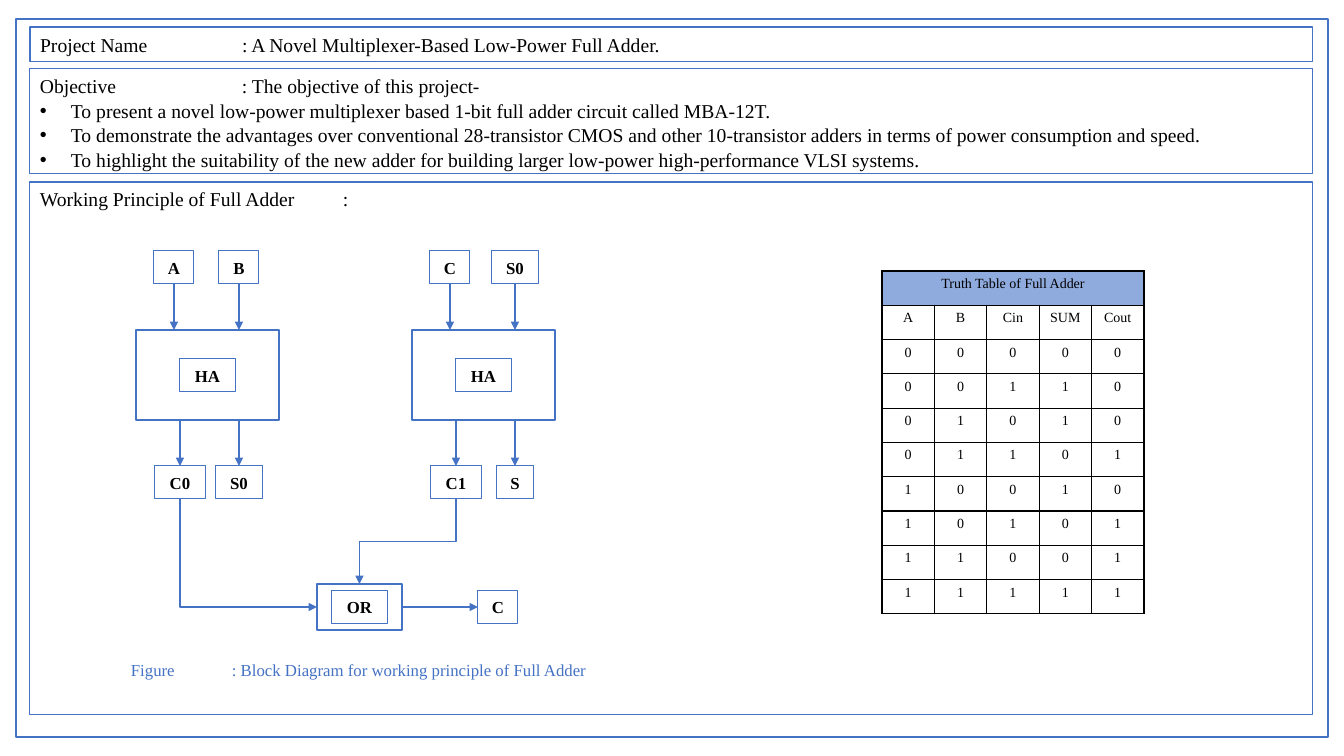
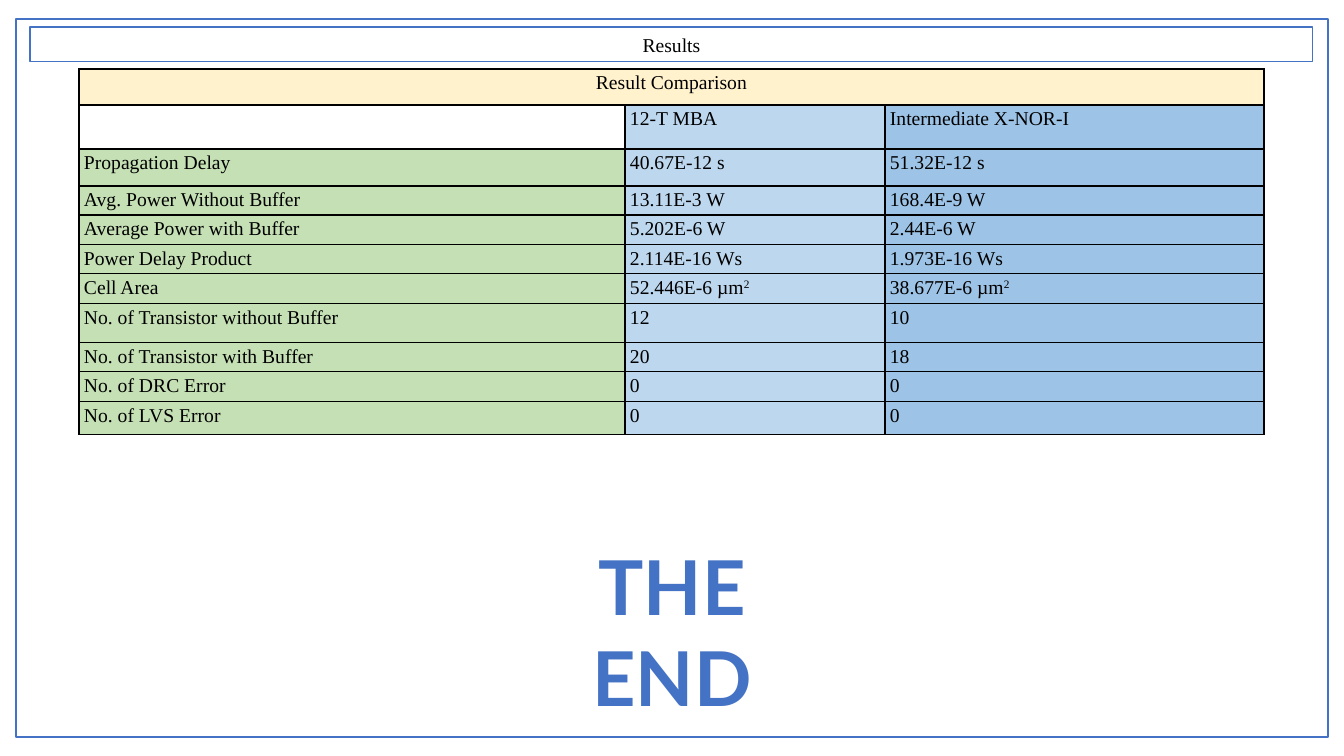
from itertools import product

from lxml.etree import SubElement
from pptx import Presentation
from pptx.dml.color import RGBColor
from pptx.enum.shapes import MSO_CONNECTOR, MSO_SHAPE
from pptx.enum.text import MSO_ANCHOR, MSO_AUTO_SIZE, PP_ALIGN
from pptx.oxml.ns import qn
from pptx.util import Emu, Pt

COLORS = {
    "line": "4472C4", "text": "000000", "truth_head": "8FAADC",
    "results_head": "FFF2CC", "measure": "C5E0B4",
    "first_design": "BDD7EE", "second_design": "9DC3E6",
}
SERIF = "Times New Roman"
EMU_PER_PX = 914400 / 100.8
INCH_PX = 101
BULLET_INDENT = 31
BAND_LEFT, BAND_WIDTH = 30, 1283
NODE_HEIGHT = 33
TOP, LEFT, BOTTOM, RIGHT = range(4)

RESULTS = [
    ("", "12-T MBA", "Intermediate X-NOR-I"),
    ("Propagation Delay", "40.67E-12 s", "51.32E-12 s"),
    ("Avg. Power Without Buffer", "13.11E-3 W", "168.4E-9 W"),
    ("Average Power with Buffer", "5.202E-6 W", "2.44E-6 W"),
    ("Power Delay Product", "2.114E-16 Ws", "1.973E-16 Ws"),
    ("Cell Area", "52.446E-6 µm^2", "38.677E-6 µm^2"),
    ("No. of Transistor without Buffer", "12", "10"),
    ("No. of Transistor with Buffer", "20", "18"),
    ("No. of DRC Error", "0", "0"),
    ("No. of LVS Error", "0", "0"),
]


def px(length):
    """Turn pixels into EMU."""
    return Emu(round(length * EMU_PER_PX))


def color(name):
    """Look up a named colour."""
    return RGBColor.from_string(COLORS[name])


def write(para, text, size, align=PP_ALIGN.LEFT, bold=False, ink="text", font=SERIF):
    """Fill a paragraph; a caret starts a superscript run."""
    para.alignment = align
    for number, part in enumerate(text.split("^")):
        span = para.add_run()
        span.text = part
        span.font.size, span.font.bold, span.font.name = Pt(size), bold, font
        span.font.color.rgb = color(ink)
        if number:
            span.font._element.set("baseline", "30000")


def add_tabs(para):
    """Give a paragraph a tab stop at each inch."""
    stops = SubElement(para._p.get_or_add_pPr(), qn("a:tabLst"))
    for number in range(1, 4):
        SubElement(stops, qn("a:tab"), pos=str(px(number * INCH_PX)), algn="l")


def add_bullet(para):
    """Hang a paragraph behind a round bullet."""
    settings = para._p.get_or_add_pPr()
    settings.set("marL", str(px(BULLET_INDENT)))
    settings.set("indent", str(-px(BULLET_INDENT)))
    SubElement(settings, qn("a:buFont"), typeface="Arial")
    SubElement(settings, qn("a:buChar"), char="•")


def add_box(page, left, top, width, height, weight=0.75):
    """Add an outlined rectangle without fill."""
    box = page.shapes.add_shape(
        MSO_SHAPE.RECTANGLE, px(left), px(top), px(width), px(height))
    box.shadow.inherit = False
    box.fill.background()
    box.line.color.rgb, box.line.width = color("line"), Pt(weight)
    return box


def add_page(deck, title, align):
    """Add a slide with the outer frame and the title band."""
    page = deck.slides.add_slide(deck.slide_layouts[5])
    add_box(page, 16, 19, 1312, 718, 1)
    band = page.shapes.title
    band.left, band.top, band.width, band.height = map(px, (BAND_LEFT, 27, BAND_WIDTH, 35))
    band.line.color.rgb, band.line.width = color("line"), Pt(0.75)
    frame = band.text_frame
    frame.auto_size, frame.vertical_anchor = MSO_AUTO_SIZE.NONE, MSO_ANCHOR.MIDDLE
    write(frame.paragraphs[0], title, 14, align)
    add_tabs(frame.paragraphs[0])
    return page


def add_section(page, top, height, heading, bullets=()):
    """Add a full-width section with a heading and bullets."""
    frame = add_box(page, BAND_LEFT, top, BAND_WIDTH, height).text_frame
    frame.word_wrap, frame.vertical_anchor = True, MSO_ANCHOR.TOP
    write(frame.paragraphs[0], heading, 14)
    add_tabs(frame.paragraphs[0])
    for bullet in bullets:
        para = frame.add_paragraph()
        para.line_spacing = 1.05
        write(para, bullet, 14)
        add_bullet(para)


def add_label(page, left, top, width, height, text, size, **style):
    """Add a plain text box."""
    frame = page.shapes.add_textbox(px(left), px(top), px(width), px(height)).text_frame
    frame.word_wrap = True
    write(frame.paragraphs[0], text, size, **style)
    return frame.paragraphs[0]


def add_node(page, center, top, width, text):
    """Add a small labelled box around a centre line."""
    node = add_box(page, center - width / 2, top, width, NODE_HEIGHT)
    frame = node.text_frame
    frame.word_wrap, frame.vertical_anchor = False, MSO_ANCHOR.MIDDLE
    write(frame.paragraphs[0], text, 12, PP_ALIGN.CENTER, bold=True)
    return node


def add_arrow(page, start, end, source=None, target=None, kind=MSO_CONNECTOR.STRAIGHT):
    """Add an arrow, joined to (shape, site) pairs where given."""
    arrow = page.shapes.add_connector(kind, *map(px, start + end))
    if source:
        arrow.begin_connect(*source)
    if target:
        arrow.end_connect(*target)
    arrow.line.color.rgb, arrow.line.width = color("line"), Pt(1)
    SubElement(arrow.line._get_or_add_ln(), qn("a:tailEnd"), type="triangle")
    SubElement(arrow._element.spPr, qn("a:effectLst"))
    return arrow


def add_falling_elbow(page, source, target, site, preset, **turn):
    """Add an elbow arrow that leaves the source downwards."""
    x1, y1 = source.left + source.width // 2, source.top + source.height
    x2 = target.left + (target.width // 2 if site == TOP else 0)
    y2 = target.top + (0 if site == TOP else target.height // 2)
    arrow = add_arrow(page, (0, 0), (1, 1), (source, BOTTOM), (target, site),
                      MSO_CONNECTOR.ELBOW)
    across, down = abs(x2 - x1), y2 - y1
    arrow.left, arrow.top = Emu((x1 + x2 - down) // 2), Emu((y1 + y2 - across) // 2)
    arrow.width, arrow.height = Emu(down), Emu(across)
    properties = arrow._element.spPr
    properties.find(qn("a:prstGeom")).set("prst", preset)
    placement = properties.find(qn("a:xfrm"))
    placement.attrib.clear()
    for name, value in turn.items():
        placement.set(name, value)


def add_half_adder(page, left, top, inputs, outputs):
    """Add a half adder with its inputs and outputs; return its carry."""
    width, height, gap = 143, 90, 46
    bottom = top + height
    add_box(page, left, top, width, height, 1)
    add_node(page, left + width / 2, top + 29, 56, "HA")
    for offset, (text, size) in zip((38, 103), inputs):
        center = left + offset
        node = add_node(page, center, top - gap - NODE_HEIGHT, size, text)
        add_arrow(page, (center, top - gap), (center, top), (node, BOTTOM))
    nodes = []
    for offset, (text, size) in zip((44, 103), outputs):
        center = left + offset
        node = add_node(page, center, bottom + gap, size, text)
        add_arrow(page, (center, bottom), (center, bottom + gap), None, (node, TOP))
        nodes.append(node)
    return nodes[0]


def add_diagram(page, left, top):
    """Add the block diagram of the full adder."""
    adder_top = top + 79
    first = add_half_adder(page, left, adder_top,
                           [("A", 40), ("B", 40)], [("C0", 51), ("S0", 47)])
    second = add_half_adder(page, left + 276, adder_top,
                            [("C", 40), ("S0", 47)], [("C1", 51), ("S", 37)])
    gate_left, gate_top, gate_width, gate_height = left + 181, top + 333, 85, 46
    center = gate_left + gate_width / 2
    middle = gate_top + gate_height / 2
    node_top = middle - NODE_HEIGHT / 2
    gate = add_box(page, gate_left, gate_top, gate_width, gate_height, 1)
    add_node(page, center, node_top, 56, "OR")
    carry = add_node(page, left + 362, node_top, 40, "C")
    add_falling_elbow(page, second, gate, TOP, "bentConnector3", rot="5400000")
    add_falling_elbow(page, first, gate, LEFT, "bentConnector2",
                      rot="16200000", flipH="1")
    add_arrow(page, (gate_left + gate_width, middle), (left + 342, middle),
              (gate, RIGHT), (carry, LEFT))
    caption = add_label(page, left - 15, top + 404, 490, 30,
                        "Figure\t: Block Diagram for working principle of Full Adder",
                        12, ink="line")
    add_tabs(caption)


def fill_cell(cell, text, size, align, fill=None, spacing=None, margin=None):
    """Write one cell and set its fill, borders and margins."""
    if margin is not None:
        cell.margin_left = cell.margin_right = px(margin)
        cell.margin_top = cell.margin_bottom = 0
    para = cell.text_frame.paragraphs[0]
    if spacing:
        para.line_spacing = spacing
    if text:
        write(para, text, size, align)
    settings = cell._tc.get_or_add_tcPr()
    for side in ("a:lnL", "a:lnR", "a:lnT", "a:lnB"):
        border = SubElement(settings, qn(side), w=str(Pt(1)))
        paint = SubElement(border, qn("a:solidFill"))
        SubElement(paint, qn("a:srgbClr"), val=COLORS["text"])
    if fill:
        cell.fill.solid()
        cell.fill.fore_color.rgb = color(fill)
    else:
        cell.fill.background()


def add_grid(page, left, top, widths, heights, heading, head_fill, rows, fills,
             size, align, **style):
    """Add a bordered table under one merged heading row."""
    table = page.shapes.add_table(
        len(heights), len(widths), px(left), px(top),
        px(sum(widths)), px(sum(heights))).table
    table.first_row = table.horz_banding = False
    for column, width in zip(table.columns, widths):
        column.width = px(width)
    for row, height in zip(table.rows, heights):
        row.height = px(height)
    table.cell(0, 0).merge(table.cell(0, len(widths) - 1))
    for column in range(len(widths)):
        fill_cell(table.cell(0, column), "" if column else heading, size,
                  PP_ALIGN.CENTER, head_fill, **style)
    for number, texts in enumerate(rows, 1):
        for column, (text, fill) in enumerate(zip(texts, fills)):
            fill_cell(table.cell(number, column), text, size, align,
                      fill if text else None, **style)


def build_project_page(deck):
    """Build the slide on the project and its working principle."""
    page = add_page(deck, "Project Name\t: A Novel Multiplexer-Based Low-Power Full Adder.",
                    PP_ALIGN.LEFT)
    add_section(page, 69, 105, "Objective\t\t: The objective of this project-", [
        "To present a novel low-power multiplexer based 1-bit full adder circuit called MBA-12T.",
        "To demonstrate the advantages over conventional 28-transistor CMOS and other "
        "10-transistor adders in terms of power consumption and speed.",
        "To highlight the suitability of the new adder for building larger low-power "
        "high-performance VLSI systems.",
    ])
    add_section(page, 182, 533, "Working Principle of Full Adder\t:")
    add_diagram(page, 136, 251)
    rows = [("A", "B", "Cin", "SUM", "Cout")]
    for bits in product((0, 1), repeat=3):
        total = sum(bits)
        rows.append([str(bit) for bit in (*bits, total % 2, total // 2)])
    add_grid(page, 882, 271, [262 / 5] * 5, [343 / 10] * 10,
             "Truth Table of Full Adder", "truth_head", rows, [None] * 5,
             10, PP_ALIGN.CENTER)


def build_results_page(deck):
    """Build the slide that compares the results."""
    page = add_page(deck, "Results", PP_ALIGN.CENTER)
    add_grid(page, 79, 69, [546, 260, 379],
             [36, 44, 37, 29, 30, 29, 30, 39, 29, 30, 33],
             "Result Comparison", "results_head", RESULTS,
             ["measure", "first_design", "second_design"],
             14, PP_ALIGN.JUSTIFY, spacing=1.15, margin=5)
    add_label(page, 513, 535, 318, 192, "THE END", 54,
              align=PP_ALIGN.CENTER, bold=True, ink="line", font="Lato")


def main():
    """Build and save the deck."""
    deck = Presentation()
    deck.slide_width, deck.slide_height = px(1344), px(756)
    build_project_page(deck)
    build_results_page(deck)
    deck.save("out.pptx")


if __name__ == "__main__":
    main()
